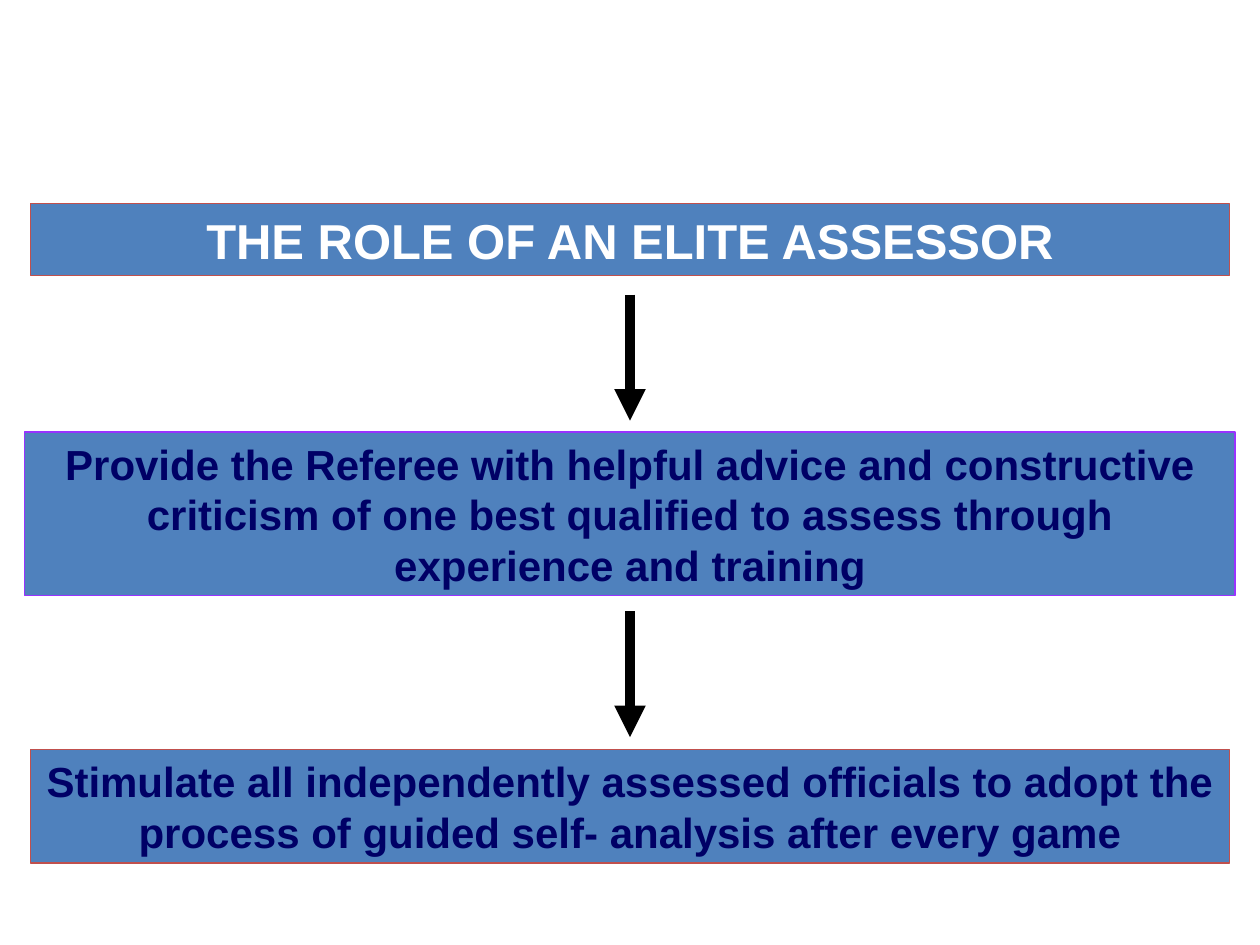
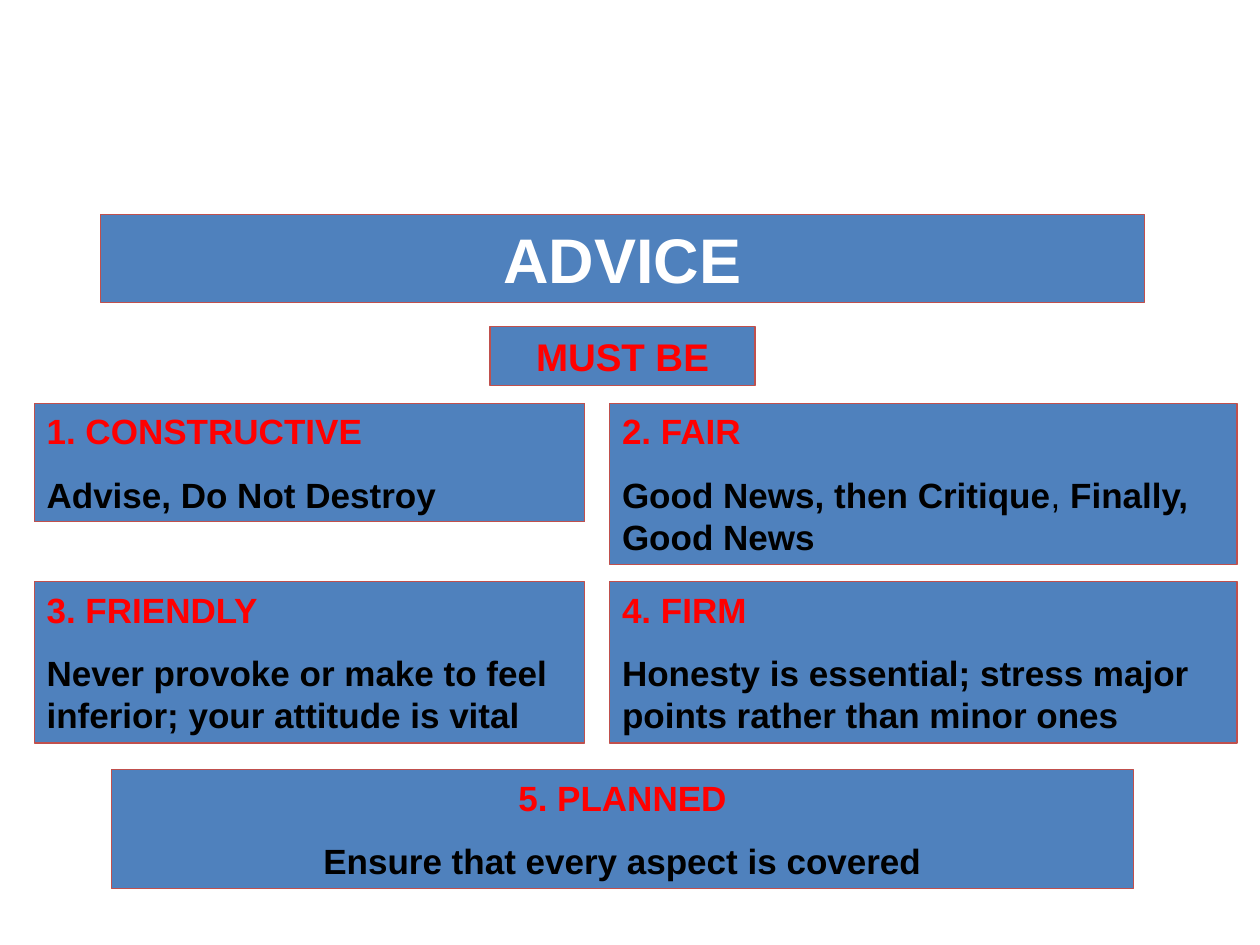
from lxml.etree import SubElement
from pptx import Presentation
from pptx.dml.color import RGBColor
from pptx.enum.shapes import MSO_CONNECTOR, MSO_SHAPE
from pptx.enum.text import MSO_ANCHOR, MSO_AUTO_SIZE, PP_ALIGN
from pptx.oxml.ns import qn
from pptx.util import Cm, Pt

FONT = "Arial"
BLUE = RGBColor(0x4F, 0x81, 0xBD)
BRICK = RGBColor(0xC0, 0x50, 0x4D)
PURPLE = RGBColor(0x99, 0x33, 0xFF)
NAVY = RGBColor(0x00, 0x00, 0x66)
RED = RGBColor(0xFF, 0x00, 0x00)
BLACK = RGBColor(0x00, 0x00, 0x00)
WHITE = RGBColor(0xFF, 0xFF, 0xFF)

SLIDE_WIDTH, SLIDE_HEIGHT = 25.4, 19.05
ROLE_CENTRE = SLIDE_WIDTH / 2
ADVICE_CENTRE = 12.55
ARROW_LENGTH = 2.54
ADVICE_COLUMNS = [(0.69, 11.1), (12.29, 12.65)]
ADVICE_ROWS = [8.13, 11.73]
SHORT_HEIGHT, TALL_HEIGHT = 2.39, 3.25


def add_blank_slide(presentation):
    return presentation.slides.add_slide(presentation.slide_layouts[6])


def add_box(slide, left, top, width, height, outline=BRICK):
    shape = slide.shapes.add_shape(
        MSO_SHAPE.RECTANGLE, Cm(left), Cm(top), Cm(width), Cm(height))
    shape.shadow.inherit = False
    shape.fill.solid()
    shape.fill.fore_color.rgb = BLUE
    shape.line.color.rgb = outline
    shape.line.width = Pt(0.75)
    text_frame = shape.text_frame
    text_frame.word_wrap = True
    text_frame.auto_size = MSO_AUTO_SIZE.SHAPE_TO_FIT_TEXT
    text_frame.vertical_anchor = MSO_ANCHOR.TOP
    return text_frame


def write_paragraph(paragraph, runs, size, color, alignment):
    paragraph.alignment = alignment
    paragraph.font.name = FONT
    paragraph.font.size = Pt(size)
    paragraph.font.bold = True
    paragraph.font.color.rgb = color
    for text, bold in runs:
        run = paragraph.add_run()
        run.text = text
        if not bold:
            run.font.bold = False


def add_banner(slide, text, centre, top, width, height, size, color, outline=BRICK):
    text_frame = add_box(slide, centre - width / 2, top, width, height, outline)
    write_paragraph(text_frame.paragraphs[0], [(text, True)], size, color, PP_ALIGN.CENTER)


def add_advice(slide, heading, runs, left, top, width, height, alignment=PP_ALIGN.LEFT):
    text_frame = add_box(slide, left, top, width, height)
    write_paragraph(text_frame.paragraphs[0], [(heading, True)], 20, RED, alignment)
    explanation = text_frame.add_paragraph()
    explanation.space_before = Pt(12.5)
    write_paragraph(explanation, runs, 20, BLACK, alignment)


def add_down_arrow(slide, top):
    connector = slide.shapes.add_connector(
        MSO_CONNECTOR.STRAIGHT, Cm(ROLE_CENTRE), Cm(top),
        Cm(ROLE_CENTRE), Cm(top + ARROW_LENGTH))
    connector.line.color.rgb = BLACK
    connector.line.width = Pt(6)
    SubElement(connector.line._get_or_add_ln(), qn("a:tailEnd"), type="triangle")
    SubElement(connector._element.spPr, qn("a:effectLst"))


def build_role_slide(presentation):
    slide = add_blank_slide(presentation)
    add_banner(slide, "THE ROLE OF AN ELITE ASSESSOR",
               ROLE_CENTRE, 4.11, 24.16, 1.45, 28, WHITE)
    add_banner(slide, "Provide the Referee with helpful advice and constructive criticism "
               "of one best qualified to assess through experience and training",
               ROLE_CENTRE, 8.71, 24.4, 3.3, 24, NAVY, PURPLE)
    add_banner(slide, "Stimulate all independently assessed officials to adopt the process "
               "of guided self- analysis after every game",
               ROLE_CENTRE, 15.11, 24.16, 2.29, 24, NAVY)
    for top in (5.94, 12.32):
        add_down_arrow(slide, top)


def build_advice_slide(presentation):
    slide = add_blank_slide(presentation)
    add_banner(slide, "ADVICE", ADVICE_CENTRE, 4.32, 21.04, 1.78, 36, WHITE)
    add_banner(slide, "MUST BE", ADVICE_CENTRE, 6.58, 5.34, 1.19, 22, RED)
    qualities = [
        ("1. CONSTRUCTIVE", [("Advise, Do Not Destroy", True)], SHORT_HEIGHT),
        ("2. FAIR", [("Good News, then Critique", True), (", ", False),
                     ("Finally, Good News", True)], TALL_HEIGHT),
        ("3. FRIENDLY", [("Never provoke or make to feel inferior; "
                          "your attitude is vital", True)], TALL_HEIGHT),
        ("4. FIRM", [("Honesty is essential; stress major points "
                      "rather than minor ones", True)], TALL_HEIGHT),
    ]
    for index, (heading, runs, height) in enumerate(qualities):
        row, column = divmod(index, len(ADVICE_COLUMNS))
        left, width = ADVICE_COLUMNS[column]
        add_advice(slide, heading, runs, left, ADVICE_ROWS[row], width, height)
    planned_width = 20.6
    add_advice(slide, "5. PLANNED", [("Ensure that every aspect is covered", True)],
               ADVICE_CENTRE - planned_width / 2, 15.52, planned_width, SHORT_HEIGHT,
               PP_ALIGN.CENTER)


def main():
    presentation = Presentation()
    presentation.slide_width = Cm(SLIDE_WIDTH)
    presentation.slide_height = Cm(SLIDE_HEIGHT)
    build_role_slide(presentation)
    build_advice_slide(presentation)
    presentation.save("out.pptx")


if __name__ == "__main__":
    main()
